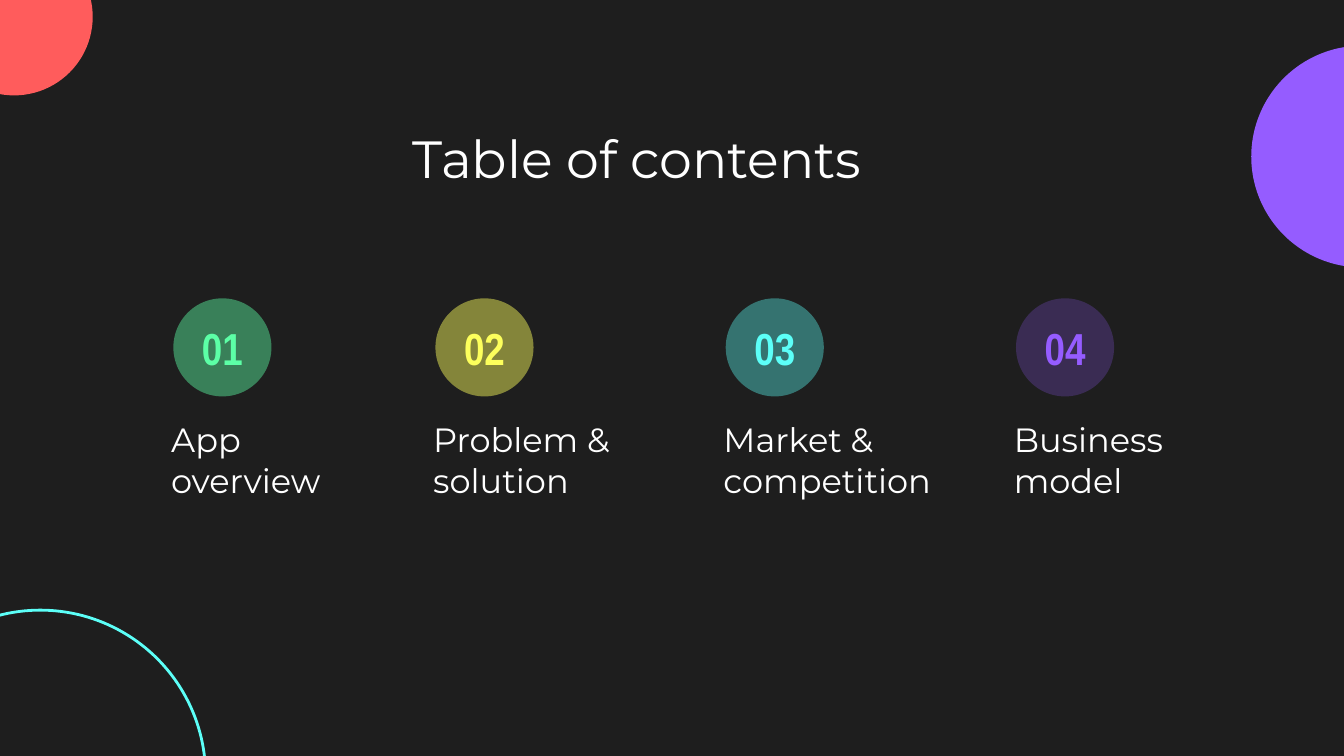
from dataclasses import dataclass

import pptx
import pptx.dml.color
import pptx.enum.shapes
import pptx.enum.text
import pptx.oxml
import pptx.oxml.ns
import pptx.util

EMU_PER_PX = 4572  # 200 px to the inch
ALIGN = pptx.enum.text.PP_ALIGN


@dataclass(frozen=True)
class Theme:
    background: str = "1E1E1E"
    white: str = "FFFFFF"
    red: str = "FF5C5C"
    purple: str = "955CFF"
    cyan: str = "5CFFF8"
    green: str = "5CFFA6"
    yellow: str = "FDFF5C"
    text_font: str = "Montserrat"
    number_font: str = "Arial Narrow"
    title_size: int = 28
    number_size: int = 24
    label_size: int = 18
    outline_width: float = 1.5


THEME = Theme()

# Number, label, circle left, label width, colour, circle opacity in percent
SECTIONS = [
    ("01", "App overview", 258, 356, THEME.green, 44),
    ("02", "Problem & solution", 648, 394, THEME.yellow, 46),
    ("03", "Market & competition", 1080, 394, THEME.cyan, 38),
    ("04", "Business model", 1512, 394, THEME.purple, 24),
]
CIRCLE_TOP, CIRCLE_SIZE = 444, 146
NUMBER_TOP, NUMBER_HEIGHT = 468, 100
LABEL_TOP, LABEL_HEIGHT, LABEL_OFFSET = 624, 120, -23
INSET = 20


def px(length):
    return pptx.util.Emu(length * EMU_PER_PX)


def rgb(color):
    return pptx.dml.color.RGBColor.from_string(color)


def write_text(shape, text, *, size, color=THEME.white, font=THEME.text_font,
               bold=False, align=ALIGN.LEFT):
    frame = shape.text_frame
    frame.word_wrap = True
    frame.auto_size = pptx.enum.text.MSO_AUTO_SIZE.NONE
    frame.vertical_anchor = pptx.enum.text.MSO_ANCHOR.MIDDLE
    frame.margin_left = frame.margin_right = px(INSET)
    frame.margin_top = frame.margin_bottom = px(INSET)
    paragraph = frame.paragraphs[0]
    paragraph.alignment = align
    run = paragraph.add_run()
    run.text = text
    run.font.name = font
    run.font.size = pptx.util.Pt(size)
    run.font.bold = bold
    run.font.color.rgb = rgb(color)


def add_text(slide, left, top, width, height, text, **text_format):
    box = slide.shapes.add_textbox(px(left), px(top), px(width), px(height))
    write_text(box, text, **text_format)


def add_circle(slide, left, top, size, *, fill=None, line=None, opacity=100):
    circle = slide.shapes.add_shape(
        pptx.enum.shapes.MSO_SHAPE.OVAL, px(left), px(top), px(size), px(size))
    circle.shadow.inherit = False
    if fill:
        circle.fill.solid()
        circle.fill.fore_color.rgb = rgb(fill)
    else:
        circle.fill.background()
    if line:
        circle.line.color.rgb = rgb(line)
        circle.line.width = pptx.util.Pt(THEME.outline_width)
    else:
        circle.line.fill.background()
    if opacity < 100:
        color = circle.fill._xPr.find(".//" + pptx.oxml.ns.qn("a:srgbClr"))
        alpha = pptx.oxml.parse_xml(
            f'<a:alpha {pptx.oxml.ns.nsdecls("a")} val="{opacity * 1000}"/>')
        color.append(alpha)


def add_title(slide, left, top, width, height, text):
    title = slide.shapes.title
    title.left, title.top = px(left), px(top)
    title.width, title.height = px(width), px(height)
    write_text(title, text, size=THEME.title_size)


def add_section(slide, number, label, left, label_width, color, opacity):
    add_circle(slide, left, CIRCLE_TOP, CIRCLE_SIZE, fill=color, opacity=opacity)
    add_text(slide, left, NUMBER_TOP, CIRCLE_SIZE, NUMBER_HEIGHT, number,
             size=THEME.number_size, color=color, font=THEME.number_font,
             bold=True, align=ALIGN.CENTER)
    add_text(slide, left + LABEL_OFFSET, LABEL_TOP, label_width, LABEL_HEIGHT,
             label, size=THEME.label_size)


def main():
    presentation = pptx.Presentation()
    presentation.slide_width = px(2000)
    presentation.slide_height = px(1125)
    slide = presentation.slides.add_slide(presentation.slide_layouts[5])
    slide.background.fill.solid()
    slide.background.fill.fore_color.rgb = rgb(THEME.background)

    # Corner decoration
    add_circle(slide, 1862, 68, 330, fill=THEME.purple)
    add_circle(slide, -96, -92, 234, fill=THEME.red)
    add_circle(slide, -186, 908, 492, line=THEME.cyan)

    # Title and sections
    add_title(slide, 594, 184, 776, 102, "Table of contents")
    for section in SECTIONS:
        add_section(slide, *section)

    presentation.save("out.pptx")


if __name__ == "__main__":
    main()
